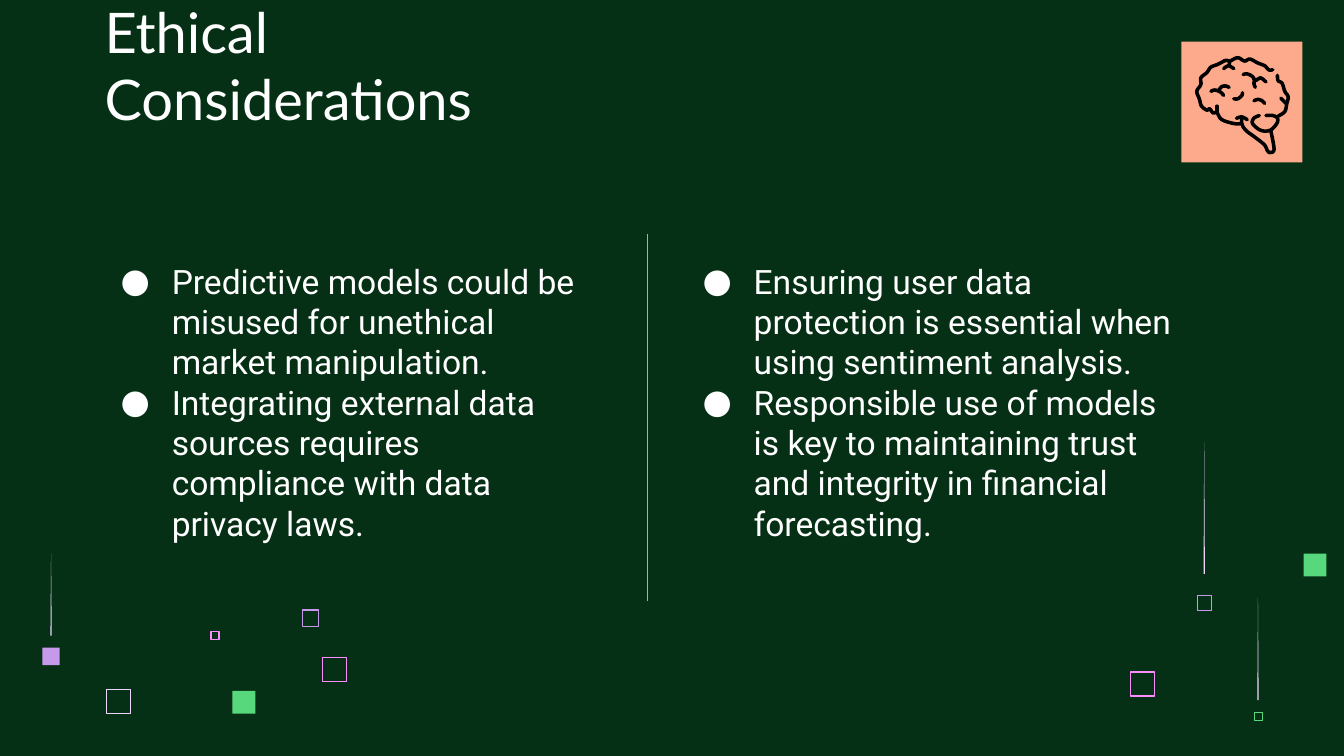
import dataclasses

import lxml.etree
import pptx
import pptx.dml.color
import pptx.enum.shapes
import pptx.enum.text
import pptx.oxml.ns
import pptx.util
from pptx.util import Inches


@dataclasses.dataclass(frozen=True)
class Theme:
    background: str = "063015"
    text: str = "FFFFFF"
    green: str = "57D87C"
    purple: str = "C799EB"
    pink: str = "FD8DFD"
    pale: str = "EED7FF"
    divider: str = "C394E8"
    badge: str = "FDAA8C"
    ink: str = "000000"
    title_font: str = "Lato"
    body_font: str = "Roboto"
    title_size: int = 30
    body_size: int = 18


THEME = Theme()

# Brain strokes on a grid of 90 units to the badge side
BRAIN_GRID = 90
BRAIN_STROKES = [
    # Cerebrum, left and right outline
    [(68, 21), (65, 21), (62, 18), (57, 16), (51, 13), (47, 14.5), (42, 12),
     (36, 14.5), (33, 14), (27, 17), (22, 19), (19, 23), (14.5, 27), (14.5, 32),
     (11.5, 37), (13.5, 43), (15, 48), (19, 51), (21, 50), (23.5, 53),
     (26.5, 53), (30, 58), (39, 61), (45, 61)],
    [(71.5, 25), (72, 29), (75, 31), (77, 37), (79.5, 41), (78.5, 46),
     (77, 52), (72, 55.5)],
    # Cerebellum and stem
    [(58, 55), (54, 57), (53, 61), (59, 66), (66, 66), (71, 61), (71.5, 57),
     (68, 55), (63, 55)],
    [(45, 56), (45, 61), (48, 66), (56, 72), (62, 77), (64, 81), (66, 82.5),
     (69, 80), (66.5, 66)],
    # Folds
    [(74, 42), (78, 46)],
    [(26.5, 48), (26.5, 53)],
    [(41, 57), (45, 56), (49, 58)],
    [(31.5, 20), (35, 18), (39, 20)],
    [(35.5, 18), (36, 14.5)],
    [(46, 24.5), (49, 24), (53, 26), (55, 29), (59, 27), (63, 30)],
    [(55, 28), (54, 31), (55, 34)],
    [(22, 37), (25, 36), (29, 37.5), (31.5, 40)],
    [(28, 36), (30, 33.5), (33, 33), (35.5, 34)],
    [(54, 44), (57, 43), (60, 44), (62, 46)],
    [(39, 42.5), (42, 42.5), (45, 40), (45.5, 38)],
]


def color(value):
    return pptx.dml.color.RGBColor.from_string(value)


def paint(shape, fill=None, line=None, width=0.75):
    shape.shadow.inherit = False
    if fill:
        shape.fill.solid()
        shape.fill.fore_color.rgb = color(fill)
    else:
        shape.fill.background()
    if line:
        shape.line.color.rgb = color(line)
        shape.line.width = pptx.util.Pt(width)
    else:
        shape.line.fill.background()


def add_square(slide, left, top, side, **style):
    shape = slide.shapes.add_shape(
        pptx.enum.shapes.MSO_SHAPE.RECTANGLE,
        Inches(left), Inches(top), Inches(side), Inches(side))
    paint(shape, **style)


def add_outline(slide, points, close, **style):
    corners = [(Inches(x), Inches(y)) for x, y in points]
    builder = slide.shapes.build_freeform(*corners[0])
    builder.add_line_segments(corners[1:], close=close)
    shape = builder.convert_to_shape()
    paint(shape, **style)
    return shape


def add_bullet(paragraph, font):
    properties = paragraph._p.get_or_add_pPr()
    properties.set("marL", str(Inches(0.5)))
    properties.set("indent", str(Inches(-0.38)))
    qualified = pptx.oxml.ns.qn
    bullet_color = lxml.etree.SubElement(properties, qualified("a:buClr"))
    lxml.etree.SubElement(bullet_color, qualified("a:srgbClr"), val=THEME.text)
    lxml.etree.SubElement(properties, qualified("a:buFont"), typeface=font)
    lxml.etree.SubElement(properties, qualified("a:buChar"), char="●")


def add_text(slide, box, paragraphs, font, size, anchor="TOP", bullets=False):
    frame = slide.shapes.add_textbox(*map(Inches, box)).text_frame
    frame.word_wrap = True
    frame.vertical_anchor = getattr(pptx.enum.text.MSO_ANCHOR, anchor)
    frame.margin_left = frame.margin_right = Inches(0.1)
    frame.margin_top = frame.margin_bottom = Inches(0.1)
    for index, text in enumerate(paragraphs):
        paragraph = frame.add_paragraph() if index else frame.paragraphs[0]
        if bullets:
            add_bullet(paragraph, font)
        run = paragraph.add_run()
        run.text = text
        run.font.name = font
        run.font.size = pptx.util.Pt(size)
        run.font.color.rgb = color(THEME.text)


def add_beacon(slide, center, top, spike_height, gap, side, **style):
    """A tapering spike above a small square, both centred on one axis."""
    bottom = top + spike_height
    add_outline(slide, [(center, top), (center - 0.005, bottom), (center + 0.005, bottom)],
                close=True, fill=THEME.pale)
    add_square(slide, center - side / 2, bottom + gap, side, **style)


def add_decoration(slide):
    # Hollow squares
    for left, top, side, line in [
        (0.79, 5.13, 0.18, THEME.pale),
        (2.25, 4.54, 0.12, THEME.purple),
        (1.57, 4.7, 0.06, THEME.pink),
        (2.4, 4.89, 0.18, THEME.pink),
        (8.41, 5, 0.18, THEME.pink),
    ]:
        add_square(slide, left, top, side, line=line)
    # Solid squares
    for left, top in [(1.73, 5.14), (9.7, 4.12)]:
        add_square(slide, left, top, 0.17, fill=THEME.green)
    # Beacons
    add_beacon(slide, 8.96, 3.29, 0.98, 0.16, 0.11, line=THEME.purple, width=0.25)
    add_beacon(slide, 0.38, 4.12, 0.61, 0.09, 0.13, fill=THEME.purple)
    add_beacon(slide, 9.36, 4.45, 0.76, 0.09, 0.06, line=THEME.green, width=0.25)


def smooth_curve(points, steps=5):
    """Points of a Catmull-Rom curve through the given points."""
    padded = [points[0], *points, points[-1]]
    curve = [points[0]]
    for before, start, end, after in zip(padded, padded[1:], padded[2:], padded[3:]):
        for step in range(1, steps + 1):
            t = step / steps
            curve.append(tuple(
                0.5 * (2 * b + (c - a) * t + (2 * a - 5 * b + 4 * c - d) * t ** 2
                       + (3 * b - a - 3 * c + d) * t ** 3)
                for a, b, c, d in zip(before, start, end, after)))
    return curve


def add_brain_badge(slide, left, top, side):
    add_square(slide, left, top, side, fill=THEME.badge)
    unit = side / BRAIN_GRID
    for stroke in BRAIN_STROKES:
        points = [(left + x * unit, top + y * unit) for x, y in smooth_curve(stroke)]
        shape = add_outline(slide, points, close=False, line=THEME.ink, width=1.9)
        shape.line._get_or_add_ln().set("cap", "rnd")


def add_divider(slide, x, top, bottom):
    line = slide.shapes.add_connector(
        pptx.enum.shapes.MSO_CONNECTOR.STRAIGHT,
        Inches(x), Inches(top), Inches(x), Inches(bottom))
    line.line.color.rgb = color(THEME.divider)
    line.line.width = pptx.util.Pt(0.75)
    lxml.etree.SubElement(line._element.spPr, pptx.oxml.ns.qn("a:effectLst"))


def add_column(slide, box, points):
    add_text(slide, box, points, THEME.body_font, THEME.body_size, bullets=True)


def main():
    presentation = pptx.Presentation()
    presentation.slide_width = Inches(10)
    presentation.slide_height = Inches(10 * 9 / 16)
    slide = presentation.slides.add_slide(presentation.slide_layouts[6])
    slide.background.fill.solid()
    slide.background.fill.fore_color.rgb = color(THEME.background)

    add_decoration(slide)
    add_text(slide, (0.68, 0.45, 4.14, 0.63), ["Ethical Considerations"],
             THEME.title_font, THEME.title_size, anchor="BOTTOM")
    add_brain_badge(slide, 8.79, 0.31, 0.9)
    add_column(slide, (0.68, 1.84, 3.87, 2.29), [
        "Predictive models could be misused for unethical market manipulation.",
        "Integrating external data sources requires compliance with data privacy laws.",
    ])
    add_column(slide, (5.01, 1.84, 3.87, 2.29), [
        "Ensuring user data protection is essential when using sentiment analysis.",
        "Responsible use of models is key to maintaining trust and integrity in financial forecasting.",
    ])
    add_divider(slide, 4.82, 1.74, 4.47)
    presentation.save("out.pptx")


if __name__ == "__main__":
    main()
